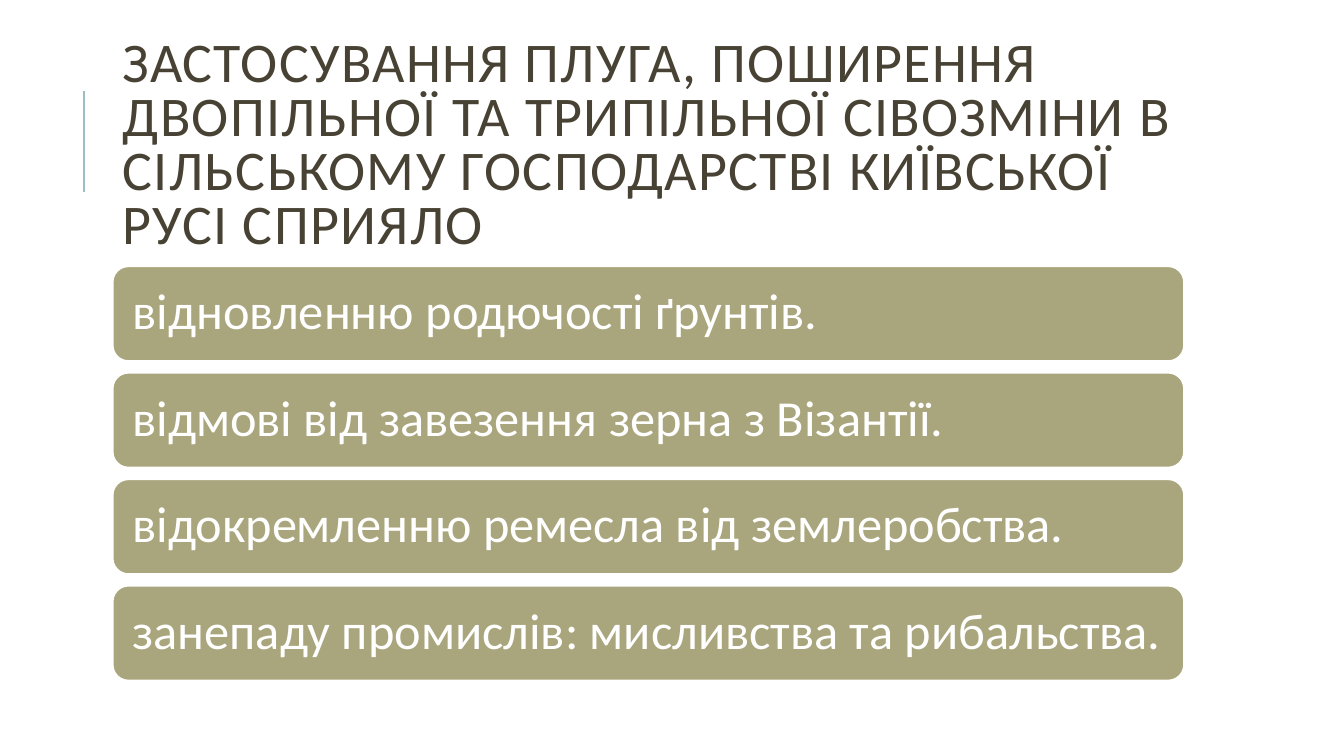
from pptx import Presentation
from pptx.dml.color import RGBColor
from pptx.enum.shapes import MSO_CONNECTOR, MSO_SHAPE
from pptx.enum.text import MSO_ANCHOR, MSO_AUTO_SIZE, PP_ALIGN
from pptx.oxml.ns import qn
from pptx.util import Cm, Pt
from lxml import etree

STRAIGHT = MSO_CONNECTOR.STRAIGHT
ROUNDED = MSO_SHAPE.ROUNDED_RECTANGLE
MIDDLE = MSO_ANCHOR.MIDDLE
NO_AUTOFIT = MSO_AUTO_SIZE.NONE
LEFT = PP_ALIGN.LEFT

FONT = "Calibri"
COLORS = {"title": "474233", "accent": "9CBEBD", "bar": "A9A57C", "white": "FFFFFF"}

QUESTION = (
    "ЗАСТОСУВАННЯ ПЛУГА, ПОШИРЕННЯ ДВОПІЛЬНОЇ ТА ТРИПІЛЬНОЇ СІВОЗМІНИ "
    "В СІЛЬСЬКОМУ ГОСПОДАРСТВІ КИЇВСЬКОЇ РУСІ СПРИЯЛО"
)
ANSWERS = [
    "відновленню родючості ґрунтів.",
    "відмові від завезення зерна з Візантії.",
    "відокремленню ремесла від землеробства.",
    "занепаду промислів: мисливства та рибальства.",
]


def rgb(name):
    return RGBColor.from_string(COLORS[name])


def write_text(frame, text, size, color, line_spacing):
    frame.text = text
    frame.word_wrap = True
    frame.auto_size = NO_AUTOFIT
    frame.vertical_anchor = MIDDLE
    paragraph = frame.paragraphs[0]
    paragraph.alignment = LEFT
    paragraph.line_spacing = line_spacing
    paragraph.space_before = Pt(0)
    run = paragraph.runs[0]
    run.font.name = FONT
    run.font.size = Pt(size)
    run.font.color.rgb = rgb(color)
    return run


def add_question(slide, left, top, width, height):
    """Place the title and the accent rule to its left."""
    rule_x = left - Cm(0.73)
    rule_top = top + Cm(0.67)
    rule = slide.shapes.add_connector(
        STRAIGHT, rule_x, rule_top + Cm(2.54), rule_x, rule_top
    )
    rule.line.color.rgb = rgb("accent")
    rule.line.width = Pt(1.5)
    etree.SubElement(rule._element.spPr, qn("a:effectLst"))

    title = slide.shapes.title
    title.left, title.top, title.width, title.height = left, top, width, height
    run = write_text(title.text_frame, QUESTION, 40, "title", 0.8)
    run.font._element.set("spc", "100")


def add_answers(slide, left, top, width, height):
    """Stack one rounded bar per answer, evenly spaced over the box."""
    bar_height = Cm(2.39)
    pitch = (height - bar_height) // (len(ANSWERS) - 1)
    for index, answer in enumerate(ANSWERS):
        bar = slide.shapes.add_shape(
            ROUNDED, left, top + index * pitch, width, bar_height
        )
        bar.shadow.inherit = False
        bar.fill.solid()
        bar.fill.fore_color.rgb = rgb("bar")
        bar.line.color.rgb = rgb("white")
        bar.line.width = Pt(1.25)
        frame = bar.text_frame
        frame.margin_left = frame.margin_right = Cm(0.38)
        frame.margin_top = frame.margin_bottom = Cm(0.38)
        write_text(frame, answer, 36, "white", 0.9)


def main():
    deck = Presentation()
    deck.slide_width, deck.slide_height = Cm(33.87), Cm(19.05)
    slide = deck.slides.add_slide(deck.slide_layouts[5])
    left, width = Cm(2.84), Cm(27)
    add_question(slide, left, Cm(1.63), width, Cm(4.17))
    add_answers(slide, left, Cm(6.71), width, Cm(10.44))
    deck.save("out.pptx")


if __name__ == "__main__":
    main()
